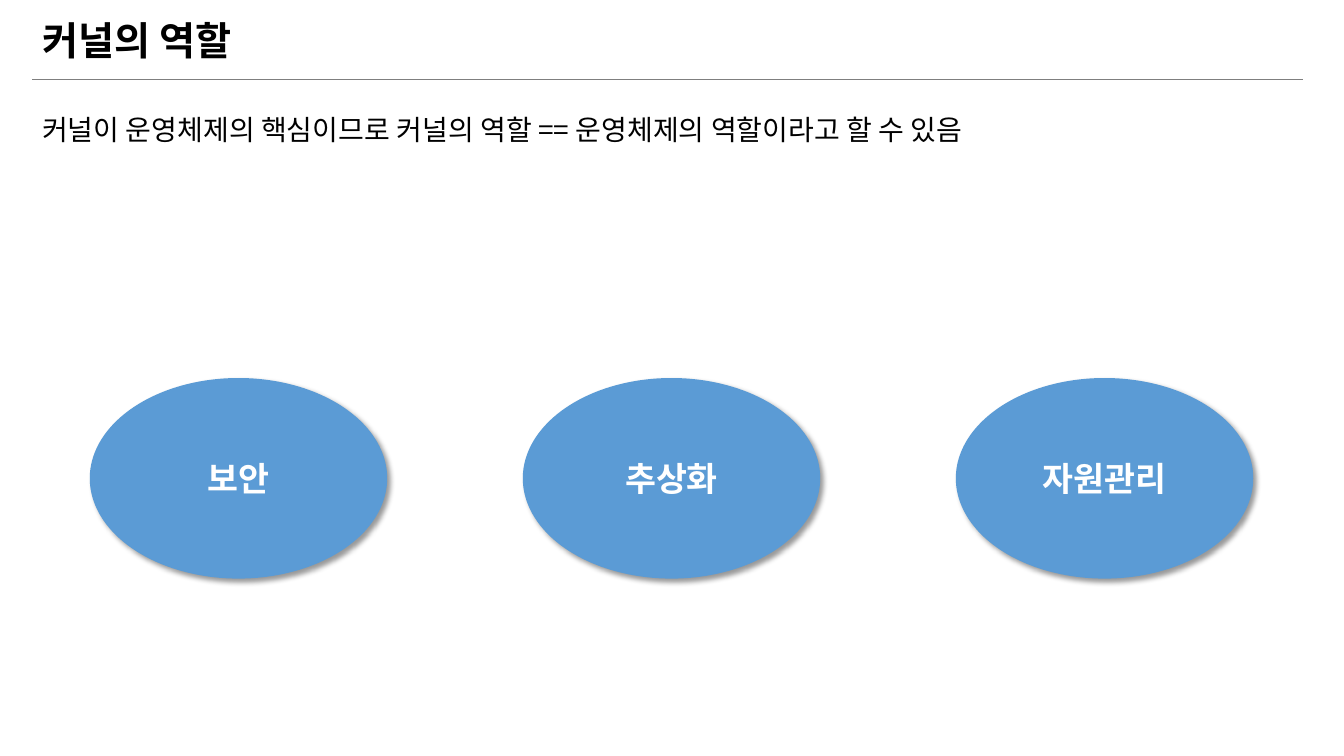
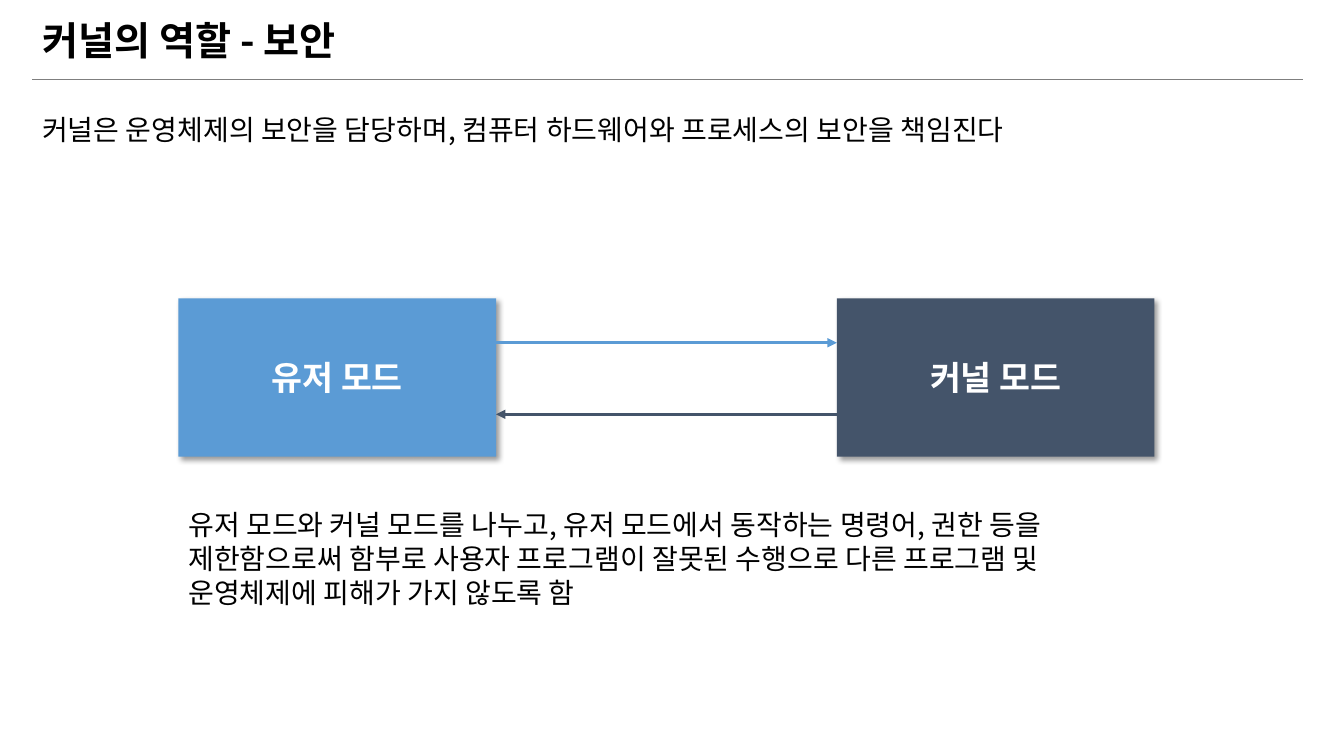
from dataclasses import dataclass

from lxml.etree import SubElement
from pptx import Presentation
from pptx.dml.color import RGBColor
from pptx.enum.shapes import MSO_CONNECTOR, MSO_SHAPE
from pptx.enum.text import MSO_ANCHOR, MSO_AUTO_SIZE, PP_ALIGN
from pptx.oxml.ns import qn
from pptx.util import Inches, Pt

FONT = "Noto Sans CJK KR"
BLUE, NAVY, GRAY = "5B9BD5", "44546A", "7F7F7F"
BLACK, WHITE = "000000", "FFFFFF"
MARGIN, CONTENT_WIDTH = 0.32, 12.6


@dataclass(frozen=True)
class Node:
    label: str
    left: float
    fill: str = BLUE


@dataclass(frozen=True)
class NodeStyle:
    kind: MSO_SHAPE
    top: float
    width: float
    height: float


@dataclass(frozen=True)
class Arrow:
    start: float
    end: float
    y: float
    color: str


def rgb(color: str) -> RGBColor:
    return RGBColor.from_string(color)


def set_text(paragraph, text: str, size: float, color: str, bold: bool = False) -> None:
    paragraph.text = text
    font = paragraph.font
    font.name, font.size, font.bold = FONT, Pt(size), bold
    font.color.rgb = rgb(color)


def add_text(slide, text: str, left: float, top: float, width: float, height: float,
             size: float = 20, bold: bool = False, spacing: float = 1.0) -> None:
    box = slide.shapes.add_textbox(Inches(left), Inches(top), Inches(width), Inches(height))
    frame = box.text_frame
    frame.word_wrap = True
    frame.auto_size = MSO_AUTO_SIZE.SHAPE_TO_FIT_TEXT
    paragraph = frame.paragraphs[0]
    paragraph.line_spacing = spacing
    set_text(paragraph, text, size, BLACK, bold)


def add_line(slide, start: float, end: float, y: float, color: str, width: float):
    line = slide.shapes.add_connector(
        MSO_CONNECTOR.STRAIGHT, Inches(start), Inches(y), Inches(end), Inches(y))
    line.line.color.rgb = rgb(color)
    line.line.width = Pt(width)
    SubElement(line._element.spPr, qn("a:effectLst"))
    return line


def add_arrow(slide, arrow: Arrow) -> None:
    line = add_line(slide, arrow.start, arrow.end, arrow.y, arrow.color, 2.25)
    SubElement(line.line._get_or_add_ln(), qn("a:tailEnd"), type="triangle")


def add_shadow(shape) -> None:
    shape.shadow.inherit = False
    effects = shape._element.spPr.find(qn("a:effectLst"))
    shadow = SubElement(effects, qn("a:outerShdw"), blurRad=str(Pt(4)), dist=str(Pt(3)),
                        dir="2700000", algn="tl", rotWithShape="0")
    color = SubElement(shadow, qn("a:srgbClr"), val=BLACK)
    SubElement(color, qn("a:alpha"), val="40000")


def add_node(slide, node: Node, style: NodeStyle) -> None:
    shape = slide.shapes.add_shape(style.kind, Inches(node.left), Inches(style.top),
                                   Inches(style.width), Inches(style.height))
    shape.fill.solid()
    shape.fill.fore_color.rgb = rgb(node.fill)
    shape.line.fill.background()
    add_shadow(shape)
    frame = shape.text_frame
    frame.vertical_anchor = MSO_ANCHOR.MIDDLE
    paragraph = frame.paragraphs[0]
    paragraph.alignment = PP_ALIGN.CENTER
    set_text(paragraph, node.label, 24, WHITE, bold=True)


def add_content_slide(presentation, title: str, summary: str):
    """Add a slide with the shared rule, title and summary line."""
    slide = presentation.slides.add_slide(presentation.slide_layouts[6])
    add_line(slide, MARGIN, MARGIN + CONTENT_WIDTH, 0.79, GRAY, 0.75)
    add_text(slide, title, MARGIN, 0.11, 3.8, 0.57, size=28, bold=True)
    add_text(slide, summary, MARGIN, 0.9, CONTENT_WIDTH, 0.54, spacing=1.5)
    return slide


def build_roles(presentation) -> None:
    slide = add_content_slide(
        presentation, "커널의 역할",
        "커널이 운영체제의 핵심이므로 커널의 역할 == 운영체제의 역할이라고 할 수 있음")
    style = NodeStyle(MSO_SHAPE.OVAL, 3.75, 2.95, 1.99)
    first_left, pitch = 0.89, 4.295
    for index, role in enumerate(("보안", "추상화", "자원관리")):
        add_node(slide, Node(role, first_left + index * pitch), style)


def build_security(presentation) -> None:
    slide = add_content_slide(
        presentation, "커널의 역할 - 보안",
        "커널은 운영체제의 보안을 담당하며, 컴퓨터 하드웨어와 프로세스의 보안을 책임진다")

    # Two modes
    style = NodeStyle(MSO_SHAPE.RECTANGLE, 2.96, 3.15, 1.57)
    user = Node("유저 모드", 1.77)
    kernel = Node("커널 모드", 8.3, NAVY)
    for node in (user, kernel):
        add_node(slide, node, style)

    # Explanation
    add_text(slide,
             "유저 모드와 커널 모드를 나누고, 유저 모드에서 동작하는 명령어, 권한 등을 "
             "제한함으로써 함부로 사용자 프로그램이 잘못된 수행으로 다른 프로그램 및 "
             "운영체제에 피해가 가지 않도록 함",
             user.left, 4.99, kernel.left + style.width - user.left, 1.11)

    # Switches between the modes
    user_edge = user.left + style.width
    add_arrow(slide, Arrow(user_edge, kernel.left, 3.4, user.fill))
    add_arrow(slide, Arrow(kernel.left, user_edge, 4.11, kernel.fill))


def main() -> None:
    presentation = Presentation()
    presentation.slide_width, presentation.slide_height = Inches(13.33), Inches(7.5)
    build_roles(presentation)
    build_security(presentation)
    presentation.save("out.pptx")


if __name__ == "__main__":
    main()
